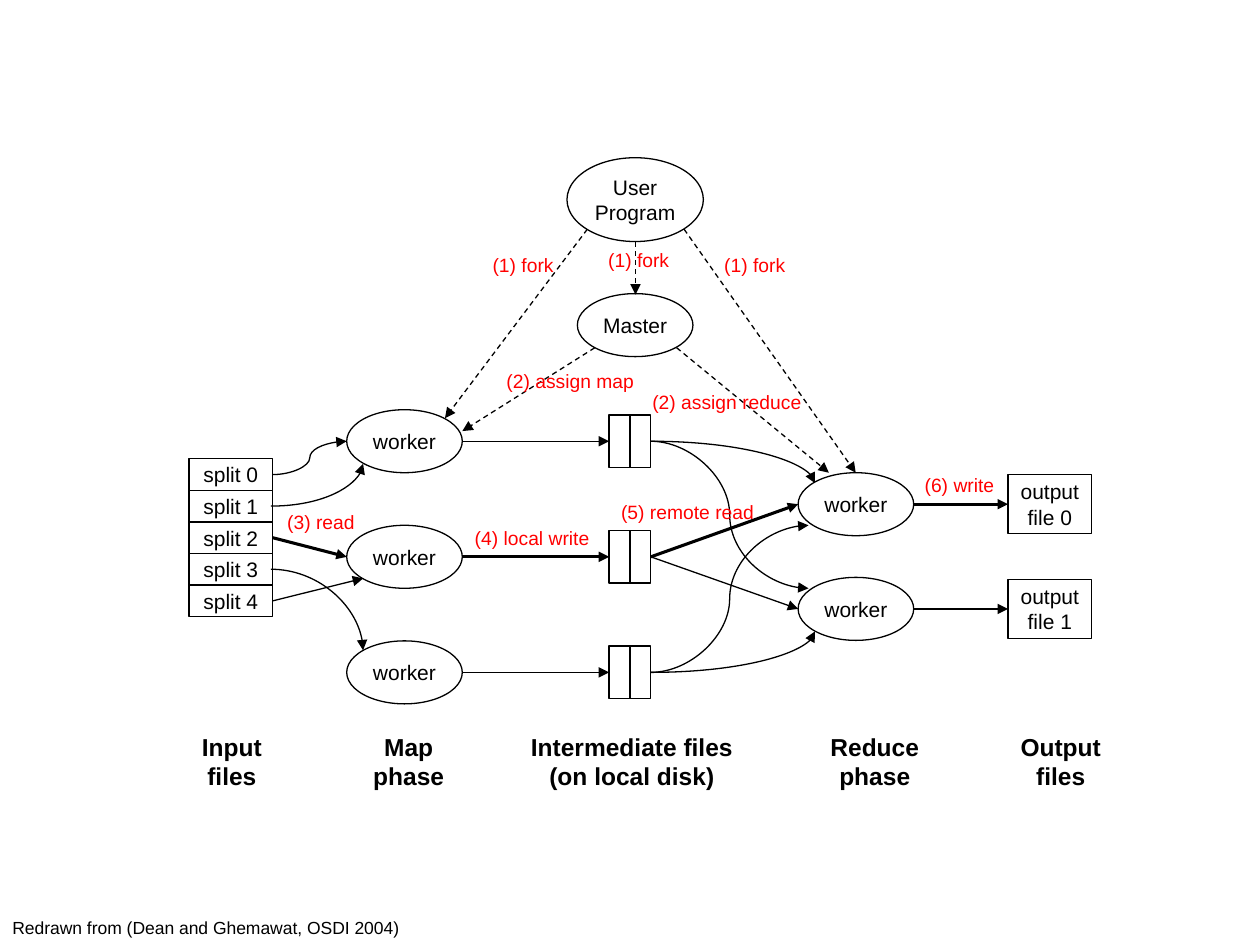
from pptx import Presentation
from pptx.dml.color import RGBColor
from pptx.enum import dml, shapes, text
from pptx.oxml.ns import qn
from pptx.util import Cm, Pt
from lxml import etree

COLORS = {"ink": "000000", "step": "FF0000"}
FONT = "Arial"
THIN, THICK = 0.75, 1.75

# Lengths are in centimetres.
SPLIT_X, SPLIT_TOP, SPLIT_W, SPLIT_H = 3.81, 9.25, 1.69, 3.18 / 5
SPLITS = ["split 0", "split 1", "split 2", "split 3", "split 4"]
WORKER_W, WORKER_H = 2.33, 1.27
MAP_X, MAP_TOPS = 6.99, [8.26 + 2.33 * i for i in range(3)]
REDUCE_X, REDUCE_TOPS = 16.09, [9.53, 11.64]
BUFFER_X, BUFFER_W, BUFFER_H = 12.28, 0.42, 1.06
OUTPUT_X, OUTPUT_W, OUTPUT_H = 20.32, 1.69, 1.19
OUTPUTS = ["output\nfile 0", "output\nfile 1"]
USER_PROGRAM = ("User\vProgram", 11.43, 3.18, 2.75, 1.69)
MASTER = ("Master", 11.64, 5.92, WORKER_W, WORKER_H)

# text, left, top, width
STEPS = [
    ("(1) fork", 9.68, 4.98, 1.75),
    ("(1) fork", 12.01, 4.88, 1.75),
    ("(1) fork", 14.35, 4.98, 1.75),
    ("(2) assign map", 9.96, 7.32, 3.1),
    ("(2) assign reduce", 12.9, 7.75, 3.53),
    ("(3) read", 5.54, 10.16, 1.88),
    ("(4) local write", 9.32, 10.49, 2.84),
    ("(5) remote read", 12.27, 9.96, 3.2),
    ("(6) write", 18.39, 9.42, 1.93),
]
# text, left, width
HEADINGS = [
    ("Input\nfiles", 3.81, 1.73),
    ("Map\nphase", 7.26, 1.96),
    ("Intermediate files\n(on local disk)", 10.44, 4.6),
    ("Reduce\nphase", 16.48, 2.31),
    ("Output\nfiles", 20.32, 2.13),
]
SOURCE = "Redrawn from (Dean and Ghemawat, OSDI 2004)"

SPLIT_YS = [SPLIT_TOP + SPLIT_H * (i + 0.5) for i in range(len(SPLITS))]
MAP_YS = [top + WORKER_H / 2 for top in MAP_TOPS]
REDUCE_YS = [top + WORKER_H / 2 for top in REDUCE_TOPS]
SPLIT_R = SPLIT_X + SPLIT_W
MAP_R, REDUCE_R = MAP_X + WORKER_W, REDUCE_X + WORKER_W
BUFFER_R = BUFFER_X + 2 * BUFFER_W

# from, to, line width
STRAIGHT = [
    ((SPLIT_R, SPLIT_YS[2]), (MAP_X, MAP_YS[1]), THICK),
    ((SPLIT_R, SPLIT_YS[4]), (7.32, 11.66), THIN),
    ((BUFFER_R, MAP_YS[1]), (REDUCE_X, REDUCE_YS[0]), THICK),
    ((BUFFER_R, MAP_YS[1]), (REDUCE_X, REDUCE_YS[1]), THIN),
]
STRAIGHT += [((MAP_R, y), (BUFFER_X, y), w)
             for y, w in zip(MAP_YS, (THIN, THICK, THIN))]
STRAIGHT += [((REDUCE_R, y), (OUTPUT_X, y), w)
             for y, w in zip(REDUCE_YS, (THICK, THIN))]
S_CURVES = [
    ((SPLIT_R, SPLIT_YS[0]), (MAP_X, MAP_YS[0])),
    ((BUFFER_R, MAP_YS[0]), (16.3, 11.86)),
    ((BUFFER_R, MAP_YS[2]), (16.3, 10.59)),
]
BENDS = [
    ((5.46, SPLIT_YS[1]), (7.32, 9.35)),
    ((5.46, SPLIT_YS[3]), (7.32, 13.11)),
    ((BUFFER_R, MAP_YS[0]), (16.43, 9.74)),
    ((BUFFER_R, MAP_YS[2]), (16.43, 12.73)),
]
DASHED = [
    ((11.84, 4.62), (8.97, 8.43)),
    ((12.81, 4.88), (12.81, 5.94)),
    ((13.79, 4.62), (17.25, 9.53)),
    ((11.99, 7.01), (9.32, 8.69)),
    ((13.64, 7.01), (16.71, 9.53)),
]


def rgb(name):
    return RGBColor.from_string(COLORS[name])


def write(tf, content, size, color="ink", bold=False, align=text.PP_ALIGN.CENTER):
    tf.text = content
    for p in tf.paragraphs:
        p.alignment = align
        for r in p.runs:
            r.font.name, r.font.size, r.font.bold = FONT, Pt(size), bold
            r.font.color.rgb = rgb(color)


def add_node(s, kind, content, x, y, w, h):
    sp = s.shapes.add_shape(kind, Cm(x), Cm(y), Cm(w), Cm(h))
    sp.shadow.inherit = False
    sp.fill.background()
    sp.line.color.rgb = rgb("ink")
    sp.line.width = Pt(THIN)
    if content:
        tf = sp.text_frame
        tf.margin_left = tf.margin_right = tf.margin_top = tf.margin_bottom = 0
        tf.word_wrap = False
        tf.vertical_anchor = text.MSO_ANCHOR.MIDDLE
        write(tf, content, 12)


def add_label(s, content, x, y, w, h, size, wrap=False, **style):
    tf = s.shapes.add_textbox(Cm(x), Cm(y), Cm(w), Cm(h)).text_frame
    tf.word_wrap = wrap
    tf.auto_size = text.MSO_AUTO_SIZE.SHAPE_TO_FIT_TEXT
    write(tf, content, size, **style)


def add_arrow(s, start, end, width=THIN, kind=shapes.MSO_CONNECTOR.STRAIGHT,
              dashed=False, bend=False):
    """Arrow from start to end; bend makes a curve a single quarter turn."""
    c = s.shapes.add_connector(kind, *(Cm(v) for v in start + end))
    c.line.color.rgb = rgb("ink")
    c.line.width = Pt(width)
    if dashed:
        c.line.dash_style = dml.MSO_LINE.DASH
    props = c._element.spPr
    if bend:
        props.find(qn("a:prstGeom")).set("prst", "curvedConnector2")
    etree.SubElement(props.find(qn("a:ln")), qn("a:tailEnd"), type="triangle")
    etree.SubElement(props, qn("a:effectLst"))


def main():
    prs = Presentation()
    prs.slide_width, prs.slide_height = Cm(25.4), Cm(19.05)
    s = prs.slides.add_slide(prs.slide_layouts[6])
    rect, oval = shapes.MSO_SHAPE.RECTANGLE, shapes.MSO_SHAPE.OVAL
    curve = shapes.MSO_CONNECTOR.CURVE

    for i, name in enumerate(SPLITS):
        add_node(s, rect, name, SPLIT_X, SPLIT_TOP + i * SPLIT_H, SPLIT_W, SPLIT_H)
    for x, tops in ((MAP_X, MAP_TOPS), (REDUCE_X, REDUCE_TOPS)):
        for top in tops:
            add_node(s, oval, "worker", x, top, WORKER_W, WORKER_H)
    for node in (MASTER, USER_PROGRAM):
        add_node(s, oval, *node)
    for name, y in zip(OUTPUTS, REDUCE_YS):
        add_node(s, rect, name, OUTPUT_X, y - OUTPUT_H / 2, OUTPUT_W, OUTPUT_H)
    for y in MAP_YS:
        for x in (BUFFER_X, BUFFER_X + BUFFER_W):
            add_node(s, rect, "", x, y - BUFFER_H / 2, BUFFER_W, BUFFER_H)

    for start, end, width in STRAIGHT:
        add_arrow(s, start, end, width)
    for start, end in S_CURVES:
        add_arrow(s, start, end, kind=curve)
    for start, end in BENDS:
        add_arrow(s, start, end, kind=curve, bend=True)
    for start, end in DASHED:
        add_arrow(s, start, end, dashed=True)

    left = text.PP_ALIGN.LEFT
    for content, x, y, w in STEPS:
        add_label(s, content, x, y, w, 0.74, 11, color="step", align=left)
    for content, x, w in HEADINGS:
        add_label(s, content, x, 14.63, w, 1.45, 14, bold=True)
    add_label(s, SOURCE, 0, 18.36, 8.69, 0.69, 10, wrap=True, align=left)
    prs.save("out.pptx")


if __name__ == "__main__":
    main()
